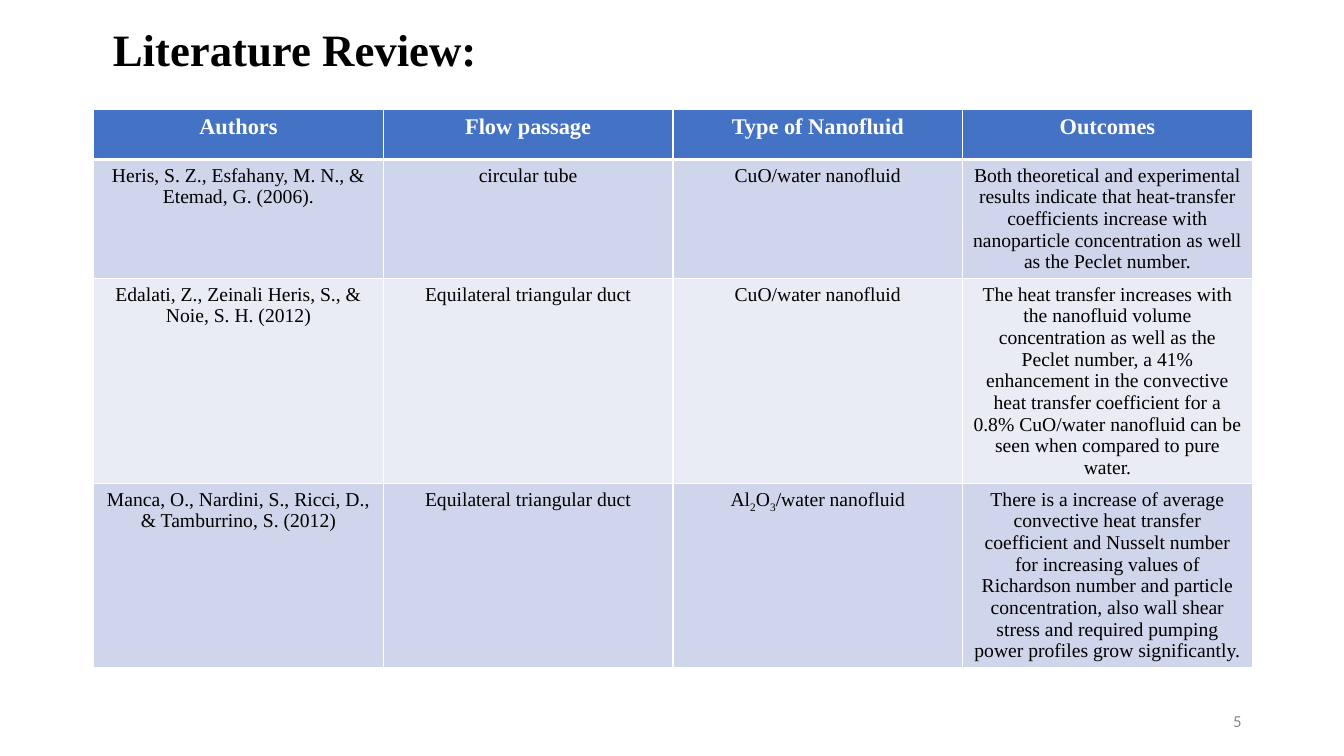
"""Build the literature review slide with its table of nanofluid studies."""
from lxml.etree import SubElement
from pptx import Presentation
from pptx.dml.color import RGBColor
from pptx.enum.text import MSO_ANCHOR, MSO_AUTO_SIZE, PP_ALIGN
from pptx.oxml.ns import qn
from pptx.util import Cm, Pt

BLACK = RGBColor(0x00, 0x00, 0x00)
WHITE = RGBColor(0xFF, 0xFF, 0xFF)
GREY = RGBColor(0x88, 0x88, 0x88)
BLUE = RGBColor(0x44, 0x72, 0xC4)
BANDS = [RGBColor(0xE9, 0xEB, 0xF5), RGBColor(0xCF, 0xD5, 0xEA)]
SERIF = "Times New Roman"

ROWS = [
    ["Authors", "Flow passage", "Type of Nanofluid", "Outcomes"],
    ["Heris, S. Z., Esfahany, M. N., & Etemad, G. (2006).",
     "circular tube", "CuO/water nanofluid",
     "Both theoretical and experimental results indicate that heat-transfer "
     "coefficients increase with nanoparticle concentration as well as the "
     "Peclet number."],
    ["Edalati, Z., Zeinali Heris, S., & Noie, S. H. (2012)",
     "Equilateral triangular duct", "CuO/water nanofluid",
     "The heat transfer increases with the nanofluid volume concentration as "
     "well as the Peclet number, a 41% enhancement in the convective heat "
     "transfer coefficient for a 0.8% CuO/water nanofluid can be seen when "
     "compared to pure water."],
    ["Manca, O., Nardini, S., Ricci, D., & Tamburrino, S. (2012)",
     "Equilateral triangular duct", "Al|2|O|3|/water nanofluid",
     "There is a increase of average convective heat transfer coefficient and "
     "Nusselt number for increasing values of Richardson number and particle "
     "concentration, also wall shear stress and required pumping power "
     "profiles grow significantly."],
]
HEIGHTS = [1.27, 3, 5.17, 4.63]


def style(font, name, size, color, bold=False):
    font.name = name
    font.size = Pt(size)
    font.color.rgb = color
    font.bold = bold


def edge(cell, side, width):
    line = SubElement(cell._tc.get_or_add_tcPr(), qn("a:ln" + side),
                      w=str(Pt(width)))
    fill = SubElement(line, qn("a:solidFill"))
    SubElement(fill, qn("a:srgbClr"), val=str(WHITE))


prs = Presentation()
prs.slide_width = Cm(33.87)
prs.slide_height = Cm(19.05)
slide = prs.slides.add_slide(prs.slide_layouts[5])

title = slide.shapes.title
title.left, title.top, title.width, title.height = (
    Cm(2.59), Cm(0.63), Cm(27.38), Cm(1.35))
frame = title.text_frame
frame.text = "Literature Review:"
frame.auto_size = MSO_AUTO_SIZE.NONE
frame.vertical_anchor = MSO_ANCHOR.MIDDLE
para = frame.paragraphs[0]
para.alignment = PP_ALIGN.LEFT
para.line_spacing = 0.9
style(para.runs[0].font, SERIF, 32, BLACK, True)

table = slide.shapes.add_table(
    len(ROWS), len(ROWS[0]), Cm(2.36), Cm(2.75), Cm(29.2),
    Cm(sum(HEIGHTS))).table
for r, row in enumerate(ROWS):
    head = r == 0
    table.rows[r].height = Cm(HEIGHTS[r])
    for c, text in enumerate(row):
        cell = table.cell(r, c)
        for side in "LRTB":
            thick = (head and side == "B") or (r == 1 and side == "T")
            edge(cell, side, 3 if thick else 1)
        cell.fill.solid()
        cell.fill.fore_color.rgb = BLUE if head else BANDS[r % 2]
        para = cell.text_frame.paragraphs[0]
        para.alignment = PP_ALIGN.CENTER
        for i, part in enumerate(text.split("|")):
            run = para.add_run()
            run.text = part
            style(run.font, SERIF, 16 if head else 14,
                  WHITE if head else BLACK, head)
            if i % 2:
                run._r.get_or_add_rPr().set("baseline", "-25000")

page = slide.shapes.add_textbox(Cm(23.92), Cm(17.66), Cm(7.62), Cm(1.01))
frame = page.text_frame
frame.word_wrap = True
frame.vertical_anchor = MSO_ANCHOR.MIDDLE
frame.text = "5"
para = frame.paragraphs[0]
para.alignment = PP_ALIGN.RIGHT
style(para.runs[0].font, "Calibri", 12, GREY)

prs.save("out.pptx")
